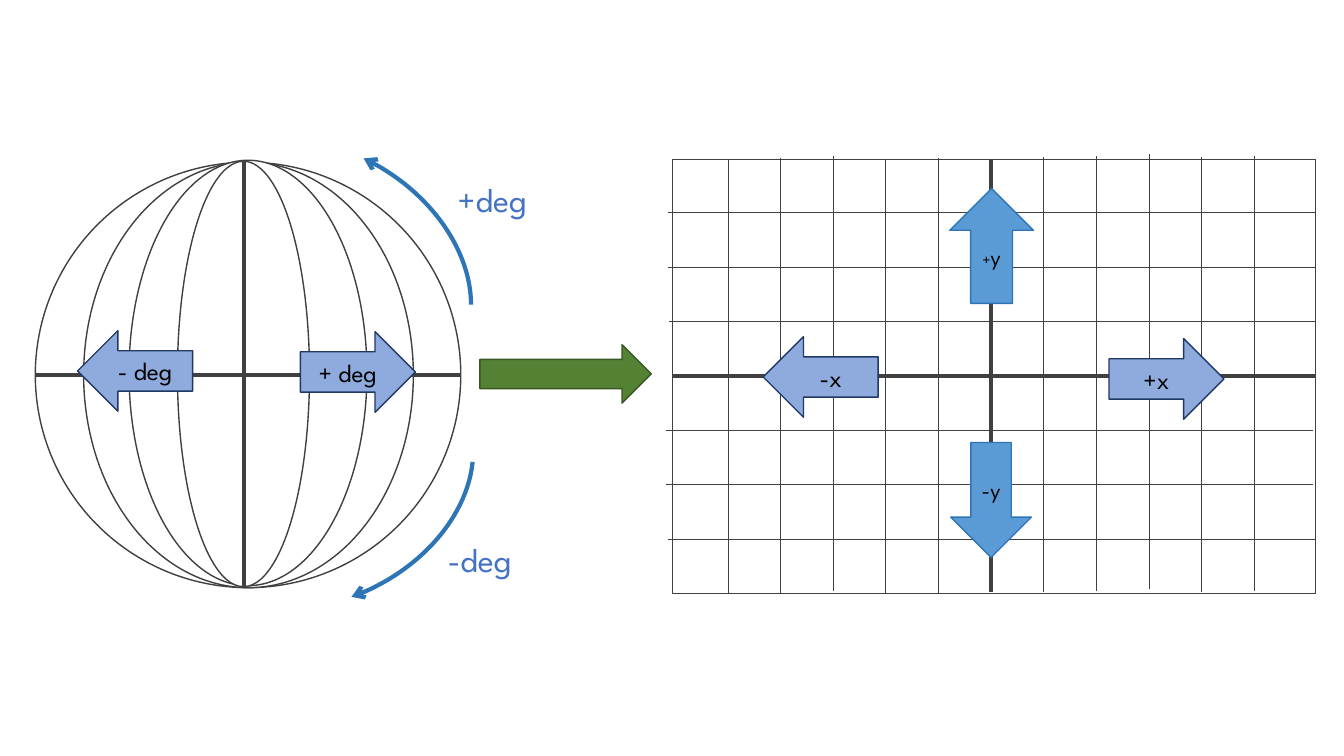
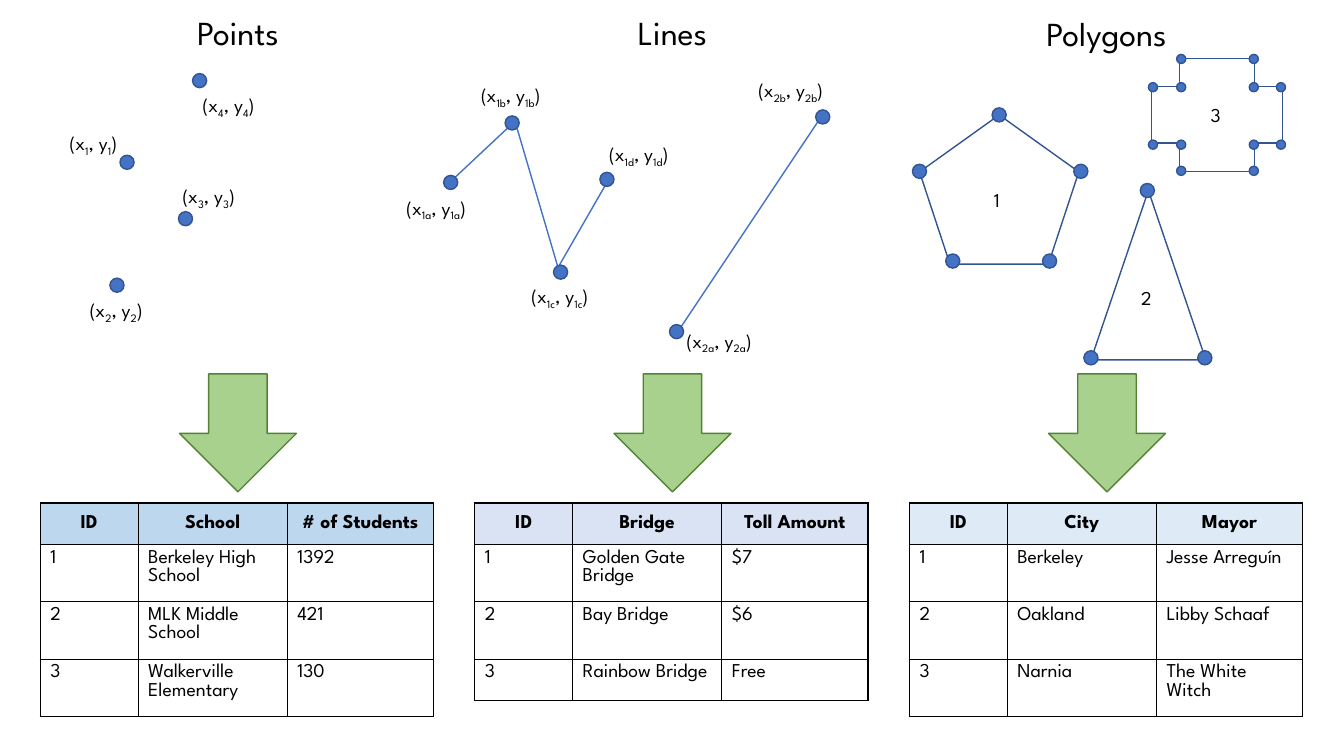
"""Build two slides: a globe unrolled onto a grid, and vector data types with their attribute tables."""
from dataclasses import dataclass
from itertools import product
from typing import Optional

from lxml.etree import SubElement
from pptx import Presentation
from pptx.dml.color import RGBColor
from pptx.enum.shapes import MSO_CONNECTOR, MSO_SHAPE
from pptx.enum.text import MSO_ANCHOR, MSO_AUTO_SIZE, PP_ALIGN
from pptx.oxml.ns import qn
from pptx.util import Inches, Pt

FONT = "League Spartan"
COLORS = {
    "black": "000000",
    "white": "FFFFFF",
    "graphite": "404040",
    "blue": "4472C4",
    "outline": "325491",
    "periwinkle": "8FAADC",
    "navy": "203864",
    "sky": "5B9BD5",
    "ocean": "2E75B6",
    "green": "548235",
    "forest": "385723",
    "leaf": "A9D18E",
    "school_header": "BDD7EE",
    "bridge_header": "DAE3F3",
    "city_header": "DEEBF7",
}


@dataclass(frozen=True)
class Span:
    text: str
    size: float = 14
    color: str = "black"
    bold: bool = False
    lowered: bool = False


@dataclass(frozen=True)
class Figure:
    kind: MSO_SHAPE
    at: tuple[float, float, float, float]
    fill: Optional[str]
    line: str
    spans: tuple[Span, ...] = ()
    width: float = 1


@dataclass(frozen=True)
class Stroke:
    start: tuple[float, float]
    end: tuple[float, float]
    color: str
    width: float


@dataclass(frozen=True)
class Label:
    at: tuple[float, float, float, float]
    spans: tuple[Span, ...]
    align: PP_ALIGN = PP_ALIGN.LEFT


@dataclass(frozen=True)
class Arc:
    at: tuple[float, float, float, float]
    rotation: float
    flipped: bool


@dataclass(frozen=True)
class Column:
    title: Label
    header: str
    rows: tuple[tuple[str, str, str], ...]
    heights: tuple[float, ...]


def rgb(name: str) -> RGBColor:
    return RGBColor.from_string(COLORS[name])


def apply_format(target, values: dict) -> None:
    for name, value in values.items():
        setattr(target, name, value)


def write(para, spans: tuple[Span, ...], align: PP_ALIGN) -> None:
    para.alignment = align
    for span in spans:
        run = para.add_run()
        run.text = span.text
        apply_format(run.font, {"name": FONT, "size": Pt(span.size), "bold": span.bold})
        run.font.color.rgb = rgb(span.color)
        if span.lowered:
            run.font._element.set("baseline", "-25000")


def draw_figure(page, figure: Figure):
    shape = page.shapes.add_shape(figure.kind, *map(Inches, figure.at))
    shape.shadow.inherit = False
    if figure.fill:
        shape.fill.solid()
        shape.fill.fore_color.rgb = rgb(figure.fill)
    else:
        shape.fill.background()
    shape.line.color.rgb = rgb(figure.line)
    shape.line.width = Pt(figure.width)
    if figure.spans:
        frame = shape.text_frame
        apply_format(frame, {"word_wrap": True, "vertical_anchor": MSO_ANCHOR.MIDDLE})
        write(frame.paragraphs[0], figure.spans, PP_ALIGN.CENTER)
    return shape


def draw_stroke(page, stroke: Stroke) -> None:
    line = page.shapes.add_connector(
        MSO_CONNECTOR.STRAIGHT, *map(Inches, stroke.start + stroke.end))
    line.line.color.rgb = rgb(stroke.color)
    line.line.width = Pt(stroke.width)
    SubElement(line.element.spPr, qn("a:effectLst"))


def draw_label(page, label: Label) -> None:
    box = page.shapes.add_textbox(*map(Inches, label.at))
    apply_format(box.text_frame, {"word_wrap": False,
                                  "auto_size": MSO_AUTO_SIZE.SHAPE_TO_FIT_TEXT})
    write(box.text_frame.paragraphs[0], label.spans, label.align)


def draw_arc(page, arc: Arc) -> None:
    shape = draw_figure(page, Figure(MSO_SHAPE.ARC, arc.at, None, "ocean", width=3))
    shape.adjustments[0], shape.adjustments[1] = 173.846, 7.644
    shape.rotation = arc.rotation
    properties = shape.element.spPr
    if arc.flipped:
        properties.find(qn("a:xfrm")).set("flipV", "1")
    SubElement(properties.find(qn("a:ln")), qn("a:tailEnd"), type="arrow")


def draw_borders(cell) -> None:
    properties = cell._tc.get_or_add_tcPr()
    for side in ("lnL", "lnR", "lnT", "lnB"):
        border = SubElement(properties, qn(f"a:{side}"), w=str(Pt(1)))
        paint = SubElement(border, qn("a:solidFill"))
        SubElement(paint, qn("a:srgbClr"), val=COLORS["black"])


def draw_table(page, column: Column, left: float) -> None:
    widths = (0.97, 1.48, 1.45)
    frame = page.shapes.add_table(
        len(column.rows), len(widths), Inches(left), Inches(4.99),
        Inches(sum(widths)), Inches(sum(column.heights)))
    table = frame.table
    apply_format(table, {"first_row": False, "horz_banding": False})
    for part, width in zip(table.columns, widths):
        part.width = Inches(width)
    for index, (row, height) in enumerate(zip(table.rows, column.heights)):
        row.height = Inches(height)
        heading = index == 0
        for cell, text in zip(row.cells, column.rows[index]):
            draw_borders(cell)
            if heading:
                cell.fill.solid()
                cell.fill.fore_color.rgb = rgb(column.header)
                cell.vertical_anchor = MSO_ANCHOR.MIDDLE
            else:
                cell.fill.background()
            for number, part in enumerate(text.split("\n")):
                body = cell.text_frame
                para = body.add_paragraph() if number else body.paragraphs[0]
                write(para, (Span(part, bold=heading),),
                      PP_ALIGN.CENTER if heading else PP_ALIGN.LEFT)


def coordinate(index: str, left: float, top: float, width: float) -> Label:
    low = Span(index, lowered=True)
    return Label((left, top, width, 0.34), (Span("(x"), low, Span(", y"), low, Span(")")))


def dot(left: float, top: float, size: float = 0.14) -> Figure:
    return Figure(MSO_SHAPE.OVAL, (left, top, size, size), "blue", "outline")


def build_projection(page) -> None:
    for kind, at in (
        (MSO_SHAPE.OVAL, (0.35, 1.61, 4.22, 4.22)),
        (MSO_SHAPE.RECTANGLE, (6.67, 1.58, 6.38, 4.31)),
        (MSO_SHAPE.OVAL, (0.83, 1.61, 3.27, 4.22)),
        (MSO_SHAPE.OVAL, (1.28, 1.59, 2.36, 4.22)),
        (MSO_SHAPE.OVAL, (1.76, 1.6, 1.31, 4.22)),
    ):
        draw_figure(page, Figure(kind, at, "white", "graphite"))
    for start, end in (
        ((2.42, 1.6), (2.42, 5.82)),
        ((4.57, 3.72), (0.35, 3.72)),
        ((13.04, 3.73), (6.67, 3.73)),
        ((9.83, 1.58), (9.83, 5.87)),
    ):
        draw_stroke(page, Stroke(start, end, "graphite", 3))
    draw_figure(page, Figure(MSO_SHAPE.RIGHT_ARROW, (4.76, 3.42, 1.7, 0.58), "green", "forest"))

    tops = (1.58, 1.57, 1.55, 1.58, 1.57, None, 1.56, 1.55, 1.53, 1.56, 1.55)
    for index, top in enumerate(tops):
        if top:
            x = 7.22 + index * (12.44 - 7.22) / 10
            draw_stroke(page, Stroke((x, top), (x, top + 4.31), "graphite", 0.5))
    rights = (13.04, 13.04, 13.05, None, 13.02, 13.02, 13.04)
    for index, right in enumerate(rights):
        if right:
            y = 2.11 + index * 0.54
            draw_stroke(page, Stroke((right, y), (right - 6.41, y), "graphite", 0.5))

    for kind, left, top, text in (
        (MSO_SHAPE.RIGHT_ARROW, 11, 3.36, "+x"),
        (MSO_SHAPE.LEFT_ARROW, 7.57, 3.34, "-x"),
        (MSO_SHAPE.RIGHT_ARROW, 2.98, 3.29, "+ deg"),
        (MSO_SHAPE.LEFT_ARROW, 0.77, 3.28, "- deg"),
    ):
        draw_figure(page, Figure(kind, (left, top, 1.14, 0.8), "periwinkle", "navy",
                                 (Span(text, 18),)))
    for kind, at, spans in (
        (MSO_SHAPE.DOWN_ARROW, (9.43, 4.39, 0.8, 1.14), (Span("-y", 16),)),
        (MSO_SHAPE.UP_ARROW, (9.42, 1.87, 0.83, 1.14), (Span("+", 11), Span("y", 16))),
    ):
        draw_figure(page, Figure(kind, at, "sky", "ocean", spans))
    draw_arc(page, Arc((2.03, 1.12, 2.35, 3.14), 302.5, True))
    draw_arc(page, Arc((2.02, 3.2, 2.35, 3.14), 63.1, False))
    for at, text in (((4.44, 1.73, 1.08, 0.5), "+deg"), ((4.34, 5.3, 0.99, 0.5), "-deg")):
        draw_label(page, Label(at, (Span(text, 24, "blue"),)))


def build_vector_data(page) -> None:
    for start, end in (
        ((4.46, 1.81), (5.11, 1.2)), ((5.11, 1.21), (5.56, 2.74)),
        ((5.52, 2.68), (6.02, 1.81)), ((8.15, 1.15), (6.69, 3.34)),
    ):
        draw_stroke(page, Stroke(start, end, "blue", 1))
    for kind, at in (
        (MSO_SHAPE.REGULAR_PENTAGON, (9.12, 1.14, 1.58, 1.48)),
        (MSO_SHAPE.ISOSCELES_TRIANGLE, (10.82, 1.89, 1.14, 1.68)),
        (MSO_SHAPE.CROSS, (11.42, 0.58, 1.3, 1.12)),
    ):
        draw_figure(page, Figure(kind, at, None, "outline"))

    points = ((1.19, 1.54), (1.09, 2.76), (1.77, 2.1), (1.91, 0.73))
    line_ends = ((4.4, 1.74), (5.01, 1.15), (5.49, 2.63), (5.95, 1.71), (6.64, 3.22), (8.09, 1.09))
    pentagon = ((9.84, 1.07), (9.05, 1.63), (9.38, 2.52), (10.34, 2.52), (10.65, 1.63))
    triangle = ((11.31, 1.82), (10.75, 3.48), (11.88, 3.48))
    for left, top in points + line_ends + pentagon + triangle:
        draw_figure(page, dot(left, top))
    cross_x, cross_y = (11.39, 11.67, 12.39, 12.66), (0.54, 0.82, 1.39, 1.65)
    for left, top in product(cross_x, cross_y):
        if left in cross_x[1:3] or top in cross_y[1:3]:
            draw_figure(page, dot(left, top, 0.09))

    for index, left, top, width in (
        ("1", 0.59, 1.25, 0.8), ("2", 0.79, 2.91, 0.8),
        ("3", 1.71, 1.78, 0.8), ("4", 1.91, 0.87, 0.8),
        ("1a", 3.93, 1.89, 0.98), ("1b", 4.67, 0.77, 0.98),
        ("1c", 5.17, 2.77, 0.97), ("1d", 5.94, 1.36, 0.98),
        ("2a", 6.71, 3.21, 0.98), ("2b", 7.42, 0.72, 0.98),
    ):
        draw_label(page, coordinate(index, left, top, width))
    for text, left, top in (("1", 9.76, 1.82), ("2", 11.22, 2.79), ("3", 11.91, 0.97)):
        draw_label(page, Label((left, top, 0.31, 0.34), (Span(text),)))

    columns = (
        Column(Label((1.79, 0.07, 1.14, 0.5), (Span("Points", 24),), PP_ALIGN.CENTER),
               "school_header",
               (("ID", "School", "# of Students"), ("1", "Berkeley High School", "1392"),
                ("2", "MLK Middle School", "421"), ("3", "Walkerville Elementary", "130")),
               (0.41, 0.57, 0.57, 0.57)),
        Column(Label((6.18, 0.07, 0.98, 0.5), (Span("Lines", 24),), PP_ALIGN.CENTER),
               "bridge_header",
               (("ID", "Bridge", "Toll Amount"), ("1", "Golden Gate\nBridge", "$7"),
                ("2", "Bay Bridge", "$6"), ("3", "Rainbow Bridge", "Free")),
               (0.41, 0.57, 0.57, 0.41)),
        Column(Label((10.15, 0.08, 1.65, 0.5), (Span("Polygons", 24),), PP_ALIGN.CENTER),
               "city_header",
               (("ID", "City", "Mayor"), ("1", "Berkeley", "Jesse Arreguín"),
                ("2", "Oakland", "Libby Schaaf"), ("3", "Narnia", "The White Witch")),
               (0.41, 0.57, 0.57, 0.57)),
    )
    for index, column in enumerate(columns):
        left = 0.4 + index * 4.31
        draw_label(page, column.title)
        draw_table(page, column, left)
        draw_figure(page, Figure(MSO_SHAPE.DOWN_ARROW, (left + 1.38, 3.71, 1.16, 1.17),
                                 "leaf", "green"))


deck = Presentation()
apply_format(deck, {"slide_width": Inches(13.33), "slide_height": Inches(7.5)})
for build in (build_projection, build_vector_data):
    build(deck.slides.add_slide(deck.slide_layouts[6]))
deck.save("out.pptx")
